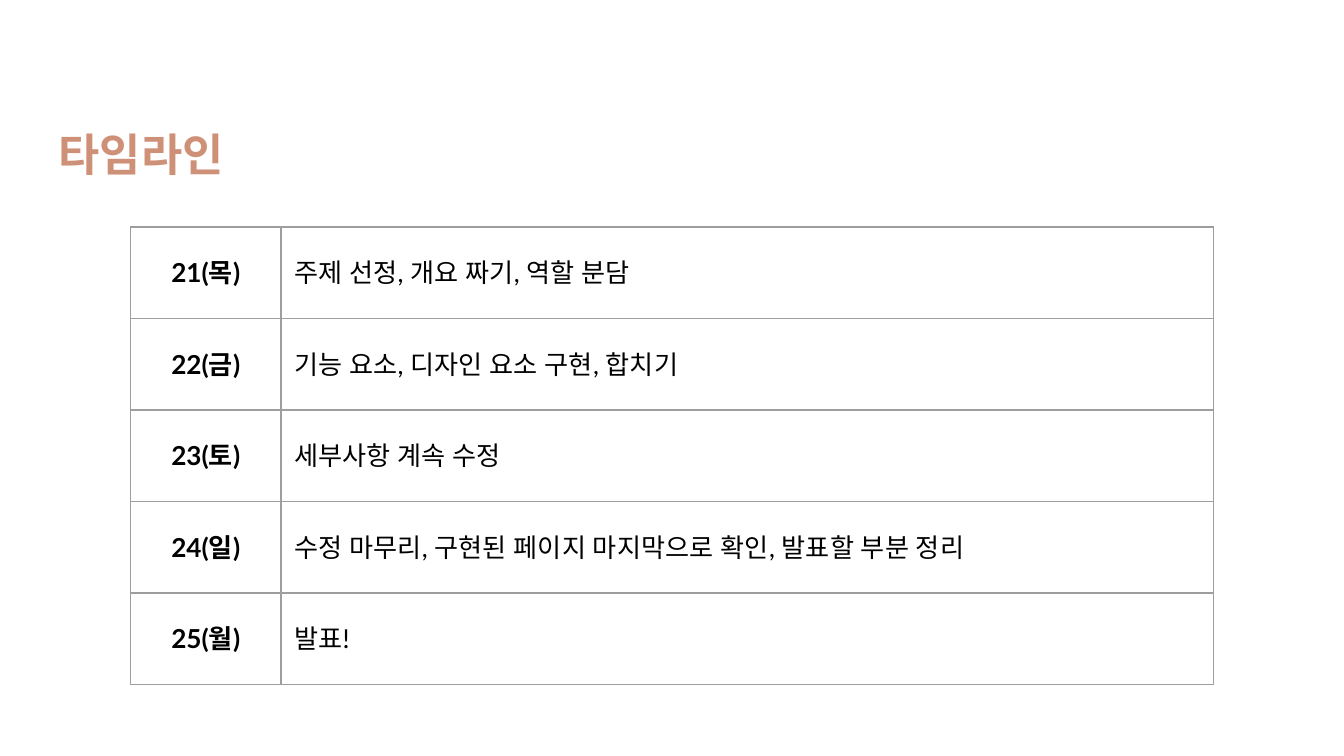
from lxml import etree
from pptx import Presentation
from pptx.dml.color import RGBColor
from pptx.enum import text
from pptx.oxml.ns import qn
from pptx.util import Cm, Pt

TITLE = "타임라인"
SCHEDULE = [
    ("21(목)", "주제 선정, 개요 짜기, 역할 분담"),
    ("22(금)", "기능 요소, 디자인 요소 구현, 합치기"),
    ("23(토)", "세부사항 계속 수정"),
    ("24(일)", "수정 마무리, 구현된 페이지 마지막으로 확인, 발표할 부분 정리"),
    ("25(월)", "발표!"),
]
COLORS = {"title": "CE9178", "text": "000000", "border": "9E9E9E"}
COLUMN_WIDTHS = [Cm(2.84), Cm(17.63)]
ROW_HEIGHT = Cm(1.73)
MARGIN = Cm(0.25)


def format_text(frame, font_name, size, color, bold, align):
    para = frame.paragraphs[0]
    para.alignment = align
    font = para.runs[0].font
    font.name, font.size, font.bold = font_name, Pt(size), bold
    font.color.rgb = RGBColor.from_string(COLORS[color])
    properties = para.runs[0]._r.get_or_add_rPr()
    etree.SubElement(properties, qn("a:ea"), typeface=font_name)


def set_margins(target):
    target.margin_left = target.margin_right = MARGIN
    target.margin_top = target.margin_bottom = MARGIN


def add_borders(cell):
    properties = cell._tc.get_or_add_tcPr()
    for side in ("lnL", "lnR", "lnT", "lnB"):
        line = etree.SubElement(properties, qn(f"a:{side}"), w=str(Pt(0.75)))
        fill = etree.SubElement(line, qn("a:solidFill"))
        etree.SubElement(fill, qn("a:srgbClr"), val=COLORS["border"])


def add_title(page):
    title = page.shapes.title
    title.left, title.top, title.width, title.height = (
        Cm(0.86), Cm(1.55), Cm(7.8), Cm(2.11))
    frame = title.text_frame
    frame.text = TITLE
    frame.word_wrap = True
    frame.auto_size = text.MSO_AUTO_SIZE.NONE
    frame.vertical_anchor = text.MSO_ANCHOR.BOTTOM
    set_margins(frame)
    format_text(frame, "Vollkorn", 24, "title", True, text.PP_ALIGN.LEFT)


def add_schedule(page):
    table = page.shapes.add_table(
        len(SCHEDULE), len(COLUMN_WIDTHS), Cm(2.47), Cm(4.29),
        sum(COLUMN_WIDTHS), ROW_HEIGHT * len(SCHEDULE)).table
    table.first_row = table.horz_banding = False
    for column, width in zip(table.columns, COLUMN_WIDTHS):
        column.width = width
    for row, entry in zip(table.rows, SCHEDULE):
        row.height = ROW_HEIGHT
        for index, (cell, words) in enumerate(zip(row.cells, entry)):
            is_date = index == 0
            cell.text = words
            cell.vertical_anchor = text.MSO_ANCHOR.MIDDLE
            set_margins(cell)
            add_borders(cell)
            cell.fill.background()
            align = text.PP_ALIGN.CENTER if is_date else text.PP_ALIGN.LEFT
            format_text(cell.text_frame, "Lato", 14, "text", is_date, align)


def main():
    deck = Presentation()
    deck.slide_width, deck.slide_height = Cm(25.4), Cm(14.29)
    page = deck.slides.add_slide(deck.slide_layouts.get_by_name("Title Only"))
    add_title(page)
    add_schedule(page)
    deck.save("out.pptx")


if __name__ == "__main__":
    main()
